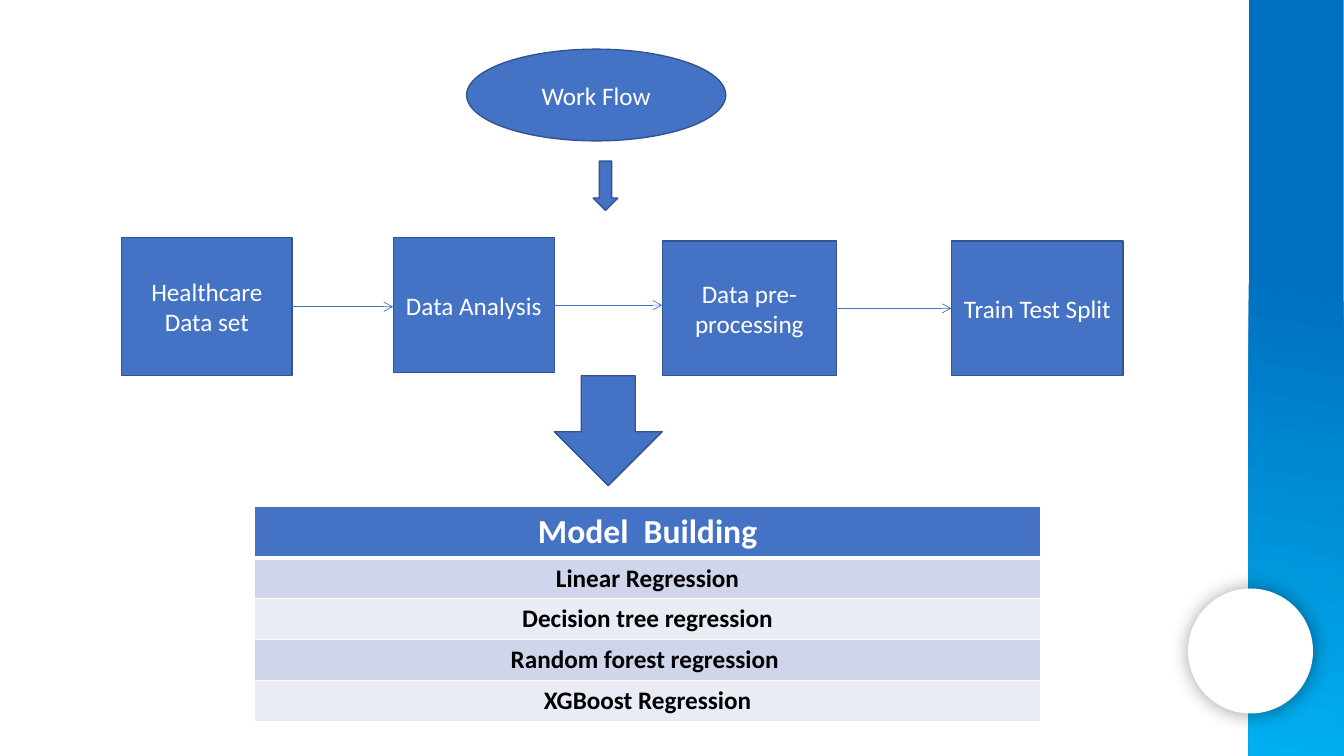
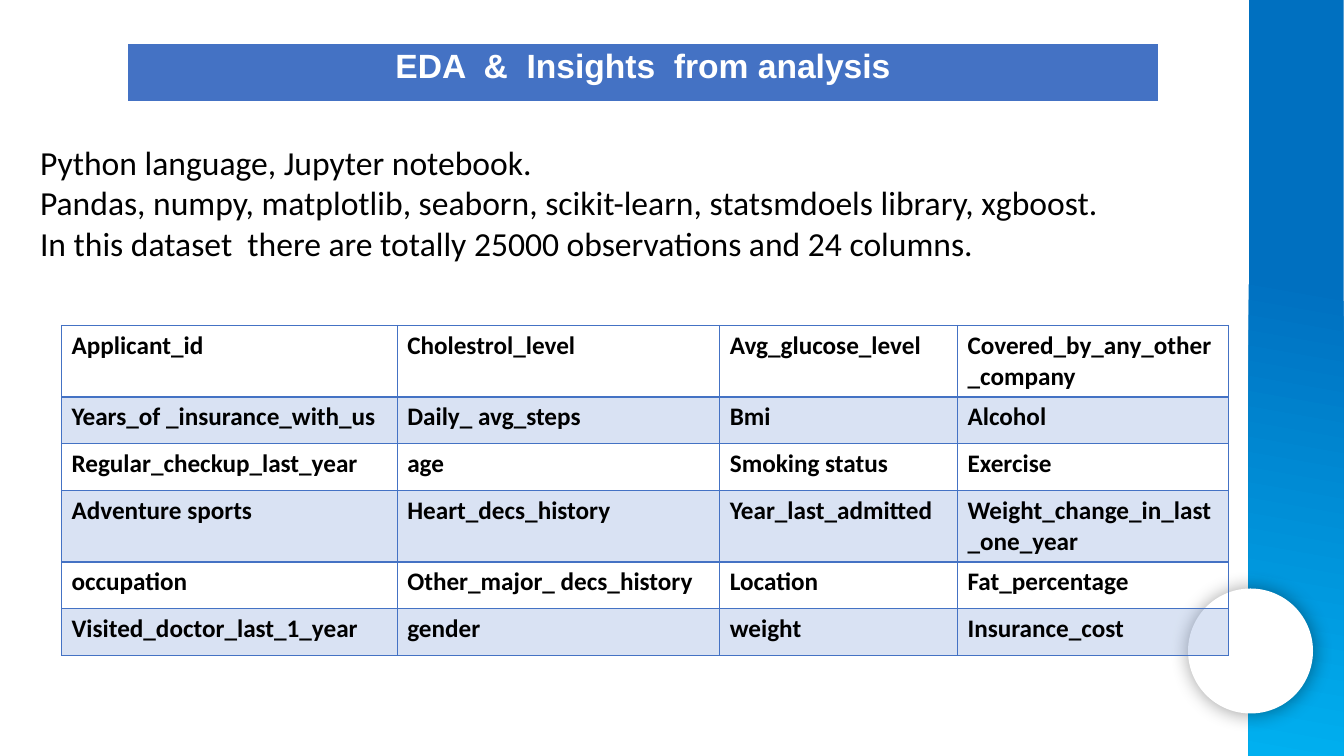
from dataclasses import dataclass
from itertools import pairwise

from lxml.etree import SubElement
from pptx import Presentation
from pptx.dml.color import RGBColor
from pptx.enum.shapes import MSO_CONNECTOR as Connector, MSO_SHAPE as Shape
from pptx.enum.text import MSO_ANCHOR as Anchor, PP_ALIGN as Align
from pptx.oxml import parse_xml
from pptx.oxml.ns import nsdecls, qn
from pptx.util import Cm, Pt


@dataclass(frozen=True)
class Theme:
    blue: str = "4472C4"
    outline: str = "325491"
    white: str = "FFFFFF"
    black: str = "000000"
    band_dark: str = "CFD5EA"
    band_light: str = "E9EBF5"
    side_top: str = "0070C0"
    side_bottom: str = "00B0F0"
    font: str = "Calibri"
    title_font: str = "Arial"
    title_size: int = 24
    body_size: int = 18


THEME = Theme()


@dataclass(frozen=True)
class RowStyle:
    """Look of one table row; borders are widths in points."""
    fill: str | None
    border: str
    color: str = THEME.black
    alpha: int = 100
    size: int = THEME.body_size
    font: str = THEME.font
    align: Align = Align.CENTER
    top: float = 1
    bottom: float = 1


WHITE_HEADER = dict(fill=THEME.blue, border=THEME.white, color=THEME.white,
                    size=THEME.title_size, bottom=3)
MODEL_HEADER = RowStyle(**WHITE_HEADER)
TITLE = RowStyle(**WHITE_HEADER, font=THEME.title_font)
MODEL_BANDS = (RowStyle(THEME.band_dark, THEME.white),
               RowStyle(THEME.band_light, THEME.white))
COLUMN_HEADER = RowStyle(None, THEME.blue, align=Align.LEFT, bottom=2)
COLUMN_BANDS = (RowStyle(THEME.blue, THEME.blue, alpha=20, align=Align.LEFT),
                RowStyle(None, THEME.blue, align=Align.LEFT))

MODELS = ("Linear Regression", "Decision tree regression",
          "Random forest regression ", "XGBoost Regression")

# Label, left, top, width, height in cm
STEPS = (
    ("Healthcare Data set", 3.07, 5.99, 4.29, 3.48),
    ("Data Analysis", 9.91, 5.99, 4.06, 3.4),
    ("Data pre-processing", 16.69, 6.07, 4.39, 3.4),
    ("Train Test Split", 23.98, 6.07, 4.32, 3.4),
)

TOOLS = (
    "Python language, Jupyter notebook.",
    "Pandas, numpy, matplotlib, seaborn, scikit-learn, statsmdoels library, xgboost.",
    "In this dataset  there are totally 25000 observations and 24 columns.",
)

DATASET_COLUMNS = (
    ("Applicant_id", "Cholestrol_level", "Avg_glucose_level",
     "Covered_by_any_other_company"),
    ("Years_of _insurance_with_us", "Daily_ avg_steps", "Bmi", "Alcohol"),
    ("Regular_checkup_last_year", "age", "Smoking status", "Exercise"),
    ("Adventure sports", "Heart_decs_history", "Year_last_admitted",
     "Weight_change_in_last_one_year"),
    ("occupation", "Other_major_ decs_history", "Location", "Fat_percentage"),
    ("Visited_doctor_last_1_year", "gender", "weight", "Insurance_cost"),
)


def rgb(color):
    return RGBColor.from_string(color)


def add_run(paragraph, text, color, size, font=THEME.font, bold=False):
    run = paragraph.add_run()
    run.text = text
    run.font.name = font
    run.font.size = Pt(size)
    run.font.bold = bold
    run.font.color.rgb = rgb(color)


def add_block(slide, kind, left, top, width, height, fill=THEME.blue,
              outline=THEME.outline, label=None):
    block = slide.shapes.add_shape(kind, Cm(left), Cm(top), Cm(width), Cm(height))
    block.shadow.inherit = False
    block.fill.solid()
    block.fill.fore_color.rgb = rgb(fill)
    if outline:
        block.line.color.rgb = rgb(outline)
        block.line.width = Pt(1)
    else:
        block.line.fill.background()
    if label:
        frame = block.text_frame
        frame.word_wrap = True
        frame.vertical_anchor = Anchor.MIDDLE
        paragraph = frame.paragraphs[0]
        paragraph.alignment = Align.CENTER
        add_run(paragraph, label, THEME.white, THEME.body_size)
    return block


def add_arrow(slide, start, end, y):
    arrow = slide.shapes.add_connector(Connector.STRAIGHT, Cm(start), Cm(y), Cm(end), Cm(y))
    arrow.line.color.rgb = rgb(THEME.blue)
    arrow.line.width = Pt(0.5)
    SubElement(arrow.line._get_or_add_ln(), qn("a:tailEnd"), type="arrow")
    SubElement(arrow._element.spPr, qn("a:effectLst"))


def set_borders(cell, style):
    properties = cell._tc.get_or_add_tcPr()
    widths = (("lnL", 1), ("lnR", 1), ("lnT", style.top), ("lnB", style.bottom))
    for position, (side, width) in enumerate(widths):
        properties.insert(position, parse_xml(
            f'<a:{side} {nsdecls("a")} w="{Pt(width)}"><a:solidFill>'
            f'<a:srgbClr val="{style.border}"/></a:solidFill></a:{side}>'))


def style_cell(cell, text, style):
    if style.fill:
        cell.fill.solid()
        cell.fill.fore_color.rgb = rgb(style.fill)
        if style.alpha < 100:
            color = cell._tc.tcPr.find(".//" + qn("a:srgbClr"))
            SubElement(color, qn("a:alpha"), val=str(style.alpha * 1000))
    else:
        cell.fill.background()
    set_borders(cell, style)
    paragraph = cell.text_frame.paragraphs[0]
    paragraph.alignment = style.align
    add_run(paragraph, text, style.color, style.size, style.font, bold=True)


def add_grid(slide, left, top, widths, heights, rows, header, bands=()):
    """Table with a header row and alternating row styles below it."""
    table = slide.shapes.add_table(len(rows), len(widths), Cm(left), Cm(top),
                                   Cm(sum(widths)), Cm(sum(heights))).table
    table.first_row = table.horz_banding = False
    for column, width in zip(table.columns, widths):
        column.width = Cm(width)
    for index, (row, height, texts) in enumerate(zip(table.rows, heights, rows)):
        row.height = Cm(height)
        style = bands[(index - 1) % len(bands)] if index else header
        for cell, text in zip(row.cells, texts):
            style_cell(cell, text, style)


def add_side_band(slide):
    """Gradient band at the right edge with a raised white disc."""
    band = add_block(slide, Shape.RECTANGLE, 31.47, 0, 2.39, 19.05, outline=None)
    band.fill.gradient()
    gradient = band._element.spPr.find(qn("a:gradFill"))
    gradient.getparent().replace(gradient, parse_xml(
        f'<a:gradFill {nsdecls("a")} rotWithShape="1"><a:gsLst>'
        f'<a:gs pos="37000"><a:srgbClr val="{THEME.side_top}"/></a:gs>'
        f'<a:gs pos="100000"><a:srgbClr val="{THEME.side_bottom}"/></a:gs>'
        '</a:gsLst><a:lin ang="6000000" scaled="0"/></a:gradFill>'))
    disc = add_block(slide, Shape.OVAL, 29.94, 14.83, 3.15, 3.15, THEME.white, None)
    effects = disc._element.spPr.find(qn("a:effectLst"))
    shadow = SubElement(effects, qn("a:outerShdw"), blurRad=str(Pt(14)),
                        dist=str(Pt(1)), dir=str(43 * 60000), rotWithShape="0")
    color = SubElement(shadow, qn("a:srgbClr"), val=THEME.black)
    SubElement(color, qn("a:alpha"), val="40000")


def add_slide(deck):
    slide = deck.slides.add_slide(deck.slide_layouts[6])
    add_side_band(slide)
    return slide


def build_workflow(deck):
    slide = add_slide(deck)
    add_block(slide, Shape.OVAL, 11.76, 1.24, 6.53, 2.31, label="Work Flow")
    for label, *place in STEPS:
        add_block(slide, Shape.FLOWCHART_PROCESS, *place, label=label)
    for (_, left, top, width, height), (_, next_left, *_) in pairwise(STEPS):
        add_arrow(slide, left + width, next_left, top + height / 2)
    add_block(slide, Shape.DOWN_ARROW, 13.97, 9.47, 2.72, 2.77)
    add_block(slide, Shape.DOWN_ARROW, 14.95, 4.06, 0.62, 1.24)
    rows = [(name,) for name in ("Model  Building", *MODELS)]
    add_grid(slide, 6.41, 12.77, [19.82], [1.29] + [1.03] * len(MODELS),
             rows, MODEL_HEADER, MODEL_BANDS)


def build_insights(deck):
    slide = add_slide(deck)
    frame = slide.shapes.add_textbox(Cm(0.76), Cm(3.45), Cm(29.72), Cm(3.3)).text_frame
    frame.word_wrap = True
    for index, line in enumerate(TOOLS):
        paragraph = frame.add_paragraph() if index else frame.paragraphs[0]
        add_run(paragraph, line, THEME.black, THEME.title_size)
    add_grid(slide, 1.55, 8.2, [8.46, 8.13, 5.99, 6.83],
             [1.8, 1.18, 1.18, 1.8, 1.18, 1.18],
             DATASET_COLUMNS, COLUMN_HEADER, COLUMN_BANDS)
    add_grid(slide, 3.2, 1.09, [26.01], [1.5],
             [("EDA  &  Insights  from analysis",)], TITLE)


def main():
    deck = Presentation()
    deck.slide_width, deck.slide_height = Cm(33.87), Cm(19.05)
    build_workflow(deck)
    build_insights(deck)
    deck.save("out.pptx")


if __name__ == "__main__":
    main()
